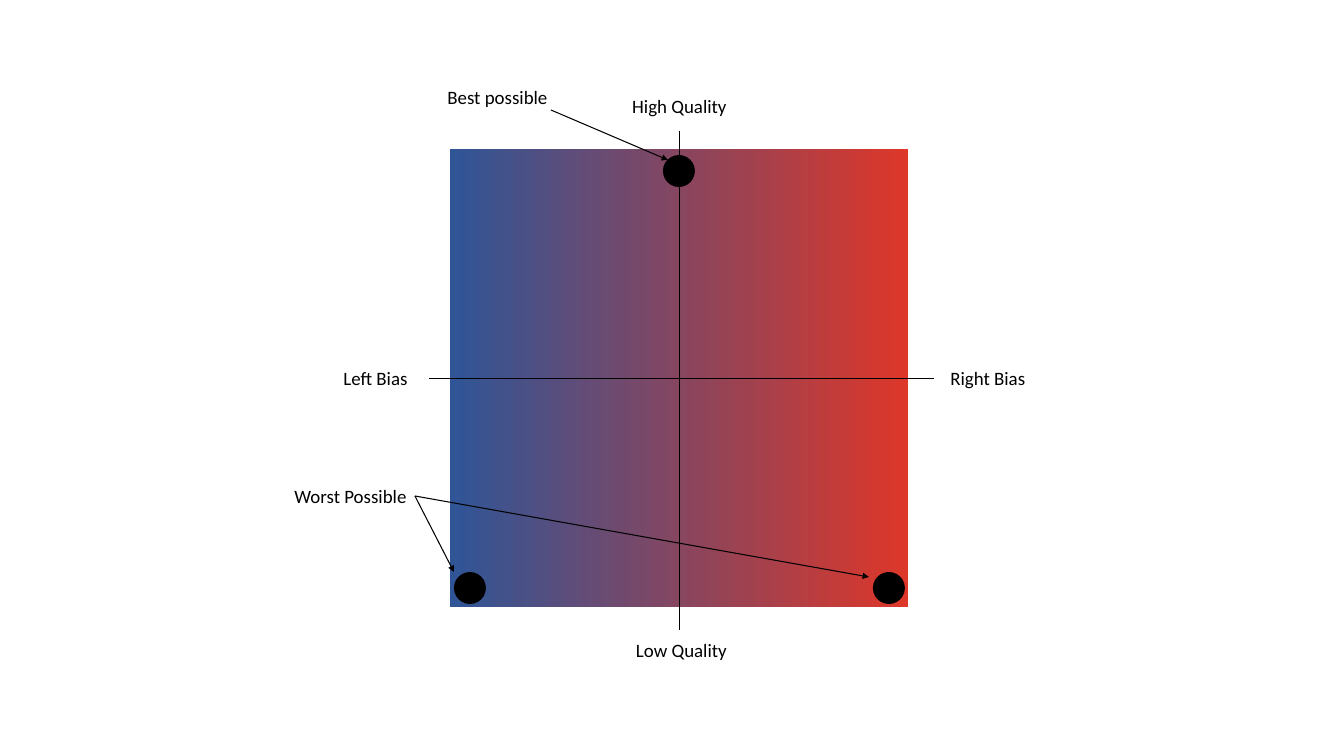
from lxml import etree
from pptx import Presentation
from pptx import util as u
from pptx.dml.color import RGBColor
from pptx.enum import shapes, text
from pptx.oxml.ns import qn

PX = 914400 / 75.6
BLACK = "000000"
LEFT_COLOR, RIGHT_COLOR = "2F5597", "DD3729"

# Content, in px
SQUARE = (450, 149, 458, 458)
AXES = [(429, 378, 934, 378), (679, 131, 679, 630)]
DOT = 32
DOTS = [(663, 155), (454, 572), (873, 572)]
ARROWS = [(551, 110, 668, 160), (415, 496, 454, 572), (415, 496, 869, 577)]
LABEL_HEIGHT = 30
LABELS = [  # text, left, top, width, centred
    ("Right Bias", 943, 363, 91, False),
    ("Left Bias", 336, 363, 81, False),
    ("High Quality", 624, 91, 111, True),
    ("Low Quality", 628, 635, 107, True),
    ("Best possible", 440, 82, 121, False),
    ("Worst Possible", 287, 481, 129, False),
]


def px(*values):
    return [u.Emu(round(v * PX)) for v in values]


def rgb(value):
    return RGBColor.from_string(value)


def add_shape(kind, *box):
    sp = slide.shapes.add_shape(kind, *px(*box))
    sp.shadow.inherit = False
    sp.line.fill.background()
    return sp


def add_line(ends, width, arrow=False):
    line = slide.shapes.add_connector(shapes.MSO_CONNECTOR.STRAIGHT, *px(*ends))
    line.line.color.rgb = rgb(BLACK)
    line.line.width = u.Pt(width)
    if arrow:
        etree.SubElement(line.line._get_or_add_ln(), qn("a:tailEnd"), type="triangle")
    etree.SubElement(line._element.spPr, qn("a:effectLst"))


def add_label(content, box, size=18, font="Calibri", color=BLACK, centred=False):
    tf = slide.shapes.add_textbox(*px(*box)).text_frame
    tf.word_wrap = False
    tf.auto_size = text.MSO_AUTO_SIZE.SHAPE_TO_FIT_TEXT
    p = tf.paragraphs[0]
    p.alignment = text.PP_ALIGN.CENTER if centred else text.PP_ALIGN.LEFT
    r = p.add_run()
    r.text = content
    r.font.size, r.font.name = u.Pt(size), font
    r.font.color.rgb = rgb(color)


prs = Presentation()
prs.slide_width, prs.slide_height = u.Inches(17.78), u.Inches(10)
slide = prs.slides.add_slide(prs.slide_layouts[6])

# Gradient square from left to right bias
square = add_shape(shapes.MSO_SHAPE.RECTANGLE, *SQUARE)
square.fill.gradient()
square.fill.gradient_angle = 0
for stop, (position, color) in zip(square.fill.gradient_stops,
                                   [(0, LEFT_COLOR), (1, RIGHT_COLOR)]):
    stop.position = position
    stop.color.rgb = rgb(color)

# Axes
for axis in AXES:
    add_line(axis, 0.5)

# Best and worst positions with their arrows
for left, top in DOTS:
    dot = add_shape(shapes.MSO_SHAPE.OVAL, left, top, DOT, DOT)
    dot.fill.solid()
    dot.fill.fore_color.rgb = rgb(BLACK)
for arrow in ARROWS:
    add_line(arrow, 1, arrow=True)

# Labels
for content, left, top, width, centred in LABELS:
    add_label(content, (left, top, width, LABEL_HEIGHT), centred=centred)

prs.save("out.pptx")
